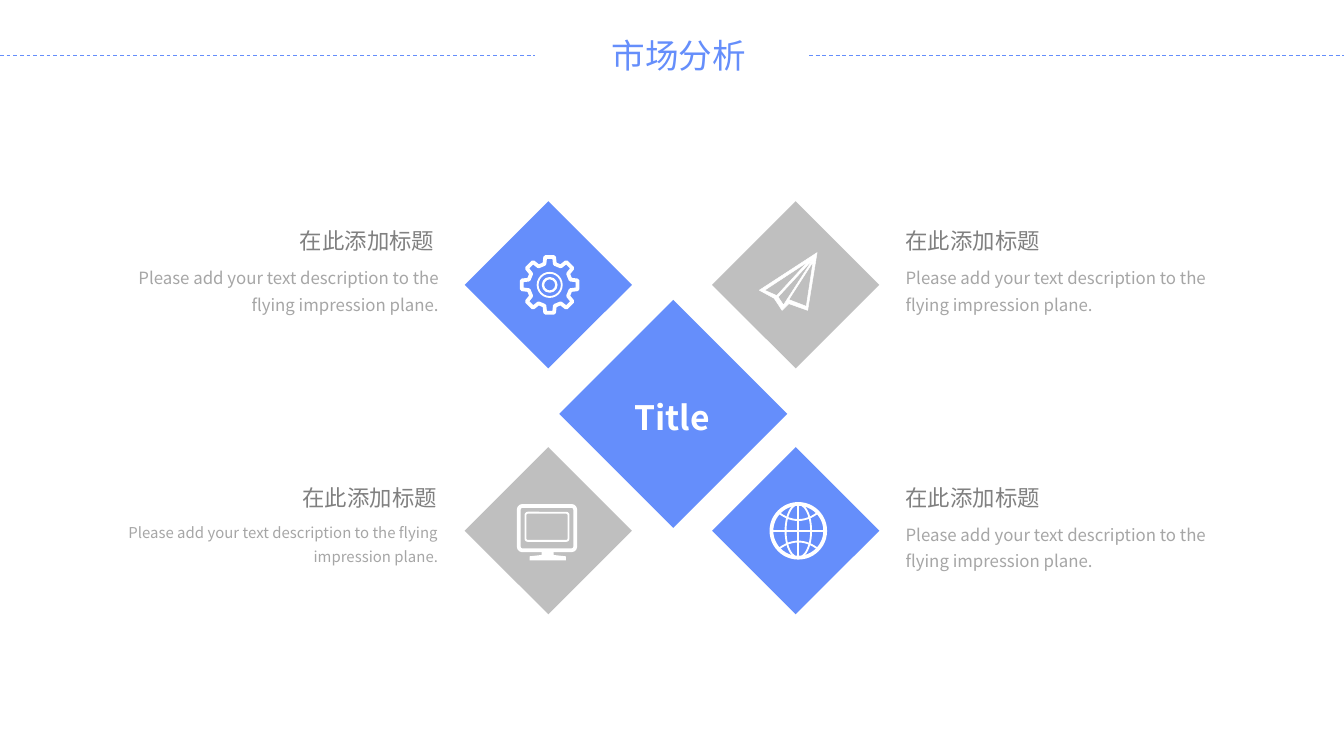
from math import cos, radians, sin

from lxml import etree
from pptx import Presentation
from pptx.dml.color import RGBColor
from pptx.enum.dml import MSO_LINE
from pptx.enum.shapes import MSO_CONNECTOR, MSO_SHAPE
from pptx.enum.text import MSO_AUTO_SIZE, PP_ALIGN
from pptx.oxml.ns import qn
from pptx.util import Inches, Pt

RECT, ROUNDED, OVAL = MSO_SHAPE.RECTANGLE, MSO_SHAPE.ROUNDED_RECTANGLE, MSO_SHAPE.OVAL
LEFT, CENTER, RIGHT = PP_ALIGN.LEFT, PP_ALIGN.CENTER, PP_ALIGN.RIGHT
FONT = "Noto Sans CJK SC"
COLORS = {k: RGBColor.from_string(v) for k, v in {
    "blue": "658EFB", "silver": "BFBFBF", "heading": "808080",
    "body": "A6A6A6", "white": "FFFFFF"}.items()}

# Widescreen 16:9 slide
prs = Presentation()
prs.slide_width = Inches(10)
prs.slide_height = Inches(10) * 9 // 16
s = prs.slides.add_slide(prs.slide_layouts[6])


def set_text(sp, text, size, color, align=LEFT, wrap=True, bold=None, spacing=None):
    tf = sp.text_frame
    tf.word_wrap = wrap
    tf.auto_size = MSO_AUTO_SIZE.SHAPE_TO_FIT_TEXT
    p = tf.paragraphs[0]
    p.text, p.alignment, p.line_spacing = text, align, spacing
    p.font.name, p.font.size, p.font.bold = FONT, Pt(size), bold
    p.font.color.rgb = COLORS[color]
    etree.SubElement(p._p.pPr.find(qn("a:defRPr")), qn("a:ea"), typeface=FONT)
    return tf


def style(sp, fill=None, line=None):
    """Fill with a named colour, or outline in white with a width in points."""
    sp.shadow.inherit = False
    if fill:
        sp.fill.solid()
        sp.fill.fore_color.rgb = COLORS[fill]
    else:
        sp.fill.background()
    if line:
        sp.line.color.rgb = COLORS["white"]
        sp.line.width = Pt(line)
        etree.SubElement(sp.line._get_or_add_ln(), qn("a:round"))
    else:
        sp.line.fill.background()
    return sp


# Header: title between two dashed rules
sp = s.shapes.add_textbox(Inches(4.48), Inches(0.22), Inches(1.16), Inches(0.38))
tf = set_text(sp, "市场分析", 18, "blue", wrap=False)
tf.margin_left = tf.margin_right = Inches(0.07)
tf.margin_top = tf.margin_bottom = Inches(0.04)
for x1, x2 in [(0, 3.98), (6.02, 10)]:
    rule = s.shapes.add_connector(MSO_CONNECTOR.STRAIGHT, Inches(x1), Inches(0.41),
                                  Inches(x2), Inches(0.41))
    rule.line.color.rgb = COLORS["blue"]
    rule.line.width = Pt(0.5)
    rule.line.dash_style = MSO_LINE.DASH
    etree.SubElement(rule._element.spPr, qn("a:effectLst"))

# Diamonds: centre x, centre y, side, colour
for cx, cy, side, color in [(5.92, 2.12, 0.88, "silver"), (5.92, 3.95, 0.88, "blue"),
                            (4.08, 2.12, 0.88, "blue"), (4.08, 3.95, 0.88, "silver"),
                            (5.01, 3.08, 1.2, "blue")]:
    sp = s.shapes.add_shape(RECT, Inches(cx - side / 2), Inches(cy - side / 2),
                            Inches(side), Inches(side))
    sp.rotation = 45
    style(sp, color)

# Centre label
sp = style(s.shapes.add_shape(RECT, Inches(4.62), Inches(2.9), Inches(0.76), Inches(0.4)), "blue")
set_text(sp, "Title", 18, "white", CENTER, wrap=False, bold=True)

# Headings and descriptions: heading x, body x, top, alignment, body size
for hx, bx, top, align, size in [(6.64, 6.64, 1.64, LEFT, 9), (6.64, 6.64, 3.55, LEFT, 9),
                                 (1.46, 0.8, 1.64, RIGHT, 9), (1.48, 0.8, 3.55, RIGHT, 8)]:
    sp = s.shapes.add_textbox(Inches(hx), Inches(top), Inches(1.87), Inches(0.3))
    set_text(sp, "在此添加标题", 12, "heading", align)
    height = 0.48 if size == 9 else 0.45
    sp = s.shapes.add_textbox(Inches(bx), Inches(top + 0.26), Inches(2.56), Inches(height))
    set_text(sp, "Please add your text description to the flying impression plane.",
             size, "body", align, spacing=1.3)

# Gear outline: four corners for each of eight teeth
gear = [(4.09 + r * cos(radians(a + d)), 2.12 + r * sin(radians(a + d)))
        for a in range(0, 360, 45)
        for r, d in [(0.16, -14), (0.21, -9), (0.21, 9), (0.16, 14)]]

# Paper plane: silhouette with three folds cut out
plane = [
    [(6.08, 1.88), (5.65, 2.16), (5.76, 2.22), (5.82, 2.31), (5.87, 2.26), (6.01, 2.31)],
    [(6, 2.28), (5.87, 2.23), (6.05, 1.95)],
    [(5.79, 2.21), (6.05, 1.93), (5.83, 2.27)],
    [(5.69, 2.16), (6.01, 1.95), (5.78, 2.2)],
]

# Globe: axes and two curved parallels
GX, GY = 5.94, 3.95
steps = [i / 6 for i in range(-6, 7)]
globe = [[(GX, GY - 0.2), (GX, GY + 0.2)], [(GX - 0.2, GY), (GX + 0.2, GY)]]
globe += [[(GX + 0.14 * t, GY + side * (0.08 + 0.05 * t * t)) for t in steps]
          for side in (-1, 1)]

# Monitor stand
stand = [(4.03, 4.1), (4.12, 4.1), (4.12, 4.13), (4.21, 4.14), (4.21, 4.17),
         (3.94, 4.17), (3.94, 4.14), (4.03, 4.13)]

# Freeform icon parts: contours, closed, fill, line width
for contours, closed, fill, line in [([gear], True, None, 2), (plane, True, "white", 0.25),
                                     (globe, False, None, 1), ([stand], True, "white", None)]:
    fb = s.shapes.build_freeform(Inches(contours[0][0][0]), Inches(contours[0][0][1]))
    for i, points in enumerate(contours):
        if i:
            fb.move_to(Inches(points[0][0]), Inches(points[0][1]))
        fb.add_line_segments([(Inches(x), Inches(y)) for x, y in points[1:]], close=closed)
    style(fb.convert_to_shape(), fill, line)

# Outlined icon parts: kind, centre x, centre y, width, height, line width
for kind, cx, cy, w, h, line in [
        (OVAL, 4.09, 2.12, 0.18, 0.18, 1), (OVAL, 4.09, 2.12, 0.1, 0.1, 1.25),
        (OVAL, GX, GY, 0.4, 0.4, 2), (OVAL, GX, GY, 0.19, 0.4, 1),
        (ROUNDED, 4.07, 3.93, 0.42, 0.33, 2), (ROUNDED, 4.07, 3.92, 0.32, 0.21, 1)]:
    sp = s.shapes.add_shape(kind, Inches(cx - w / 2), Inches(cy - h / 2), Inches(w), Inches(h))
    if kind == ROUNDED:
        sp.adjustments[0] = 0.08
    style(sp, line=line)

prs.save("out.pptx")
